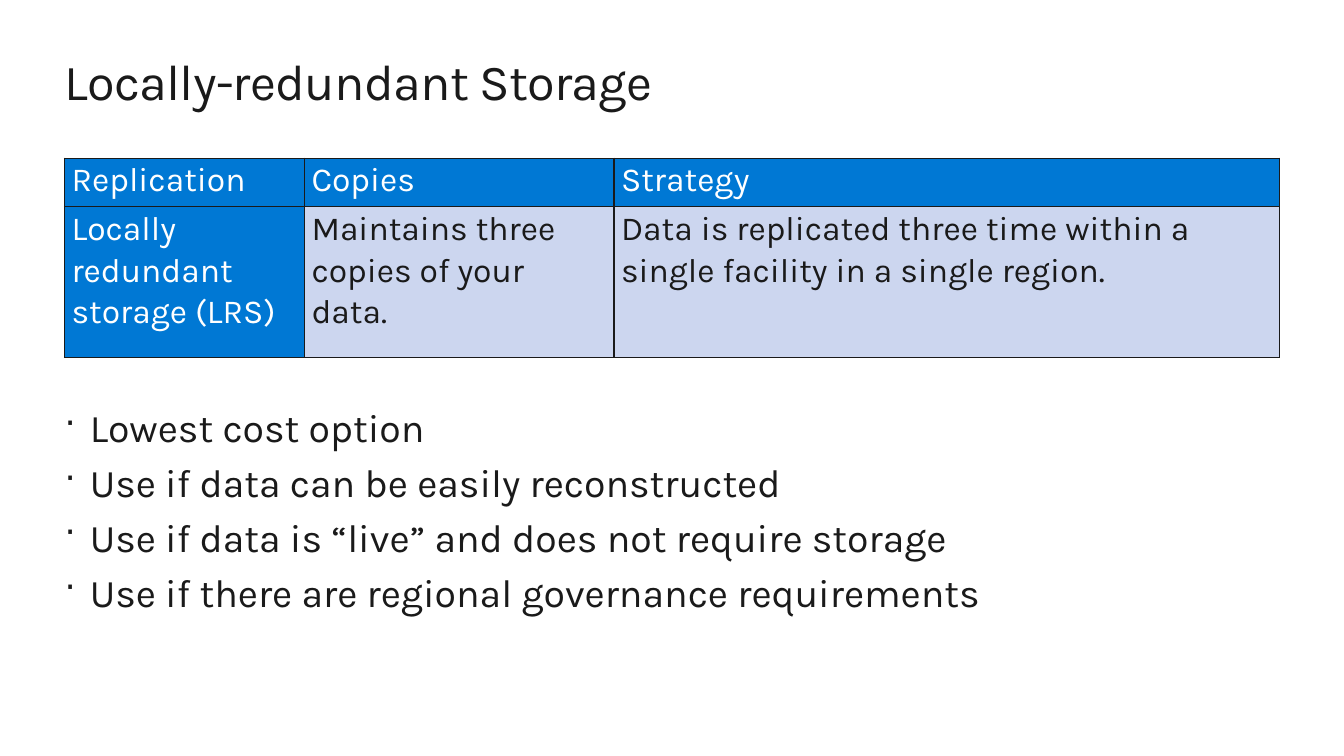
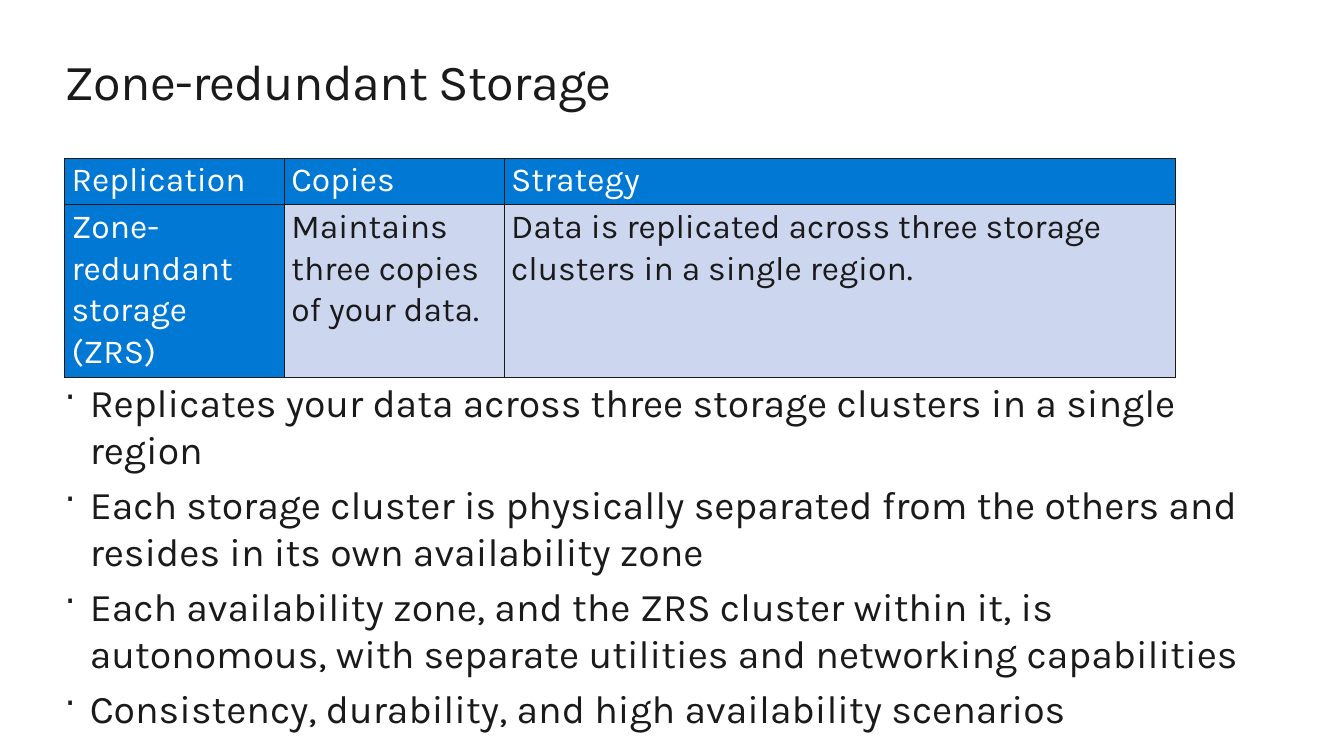
from lxml.etree import SubElement
from pptx import Presentation
from pptx.dml.color import RGBColor
from pptx.enum.text import MSO_ANCHOR, MSO_AUTO_SIZE
from pptx.oxml.ns import qn
from pptx.util import Inches, Pt

COLORS = {"ink": "1A1A1A", "white": "FFFFFF", "blue": "0078D4", "pale": "CCD6EF"}
FONT = "Karla"
LEFT = 0.64
WIDTH = 12.05
FRAME_FORMAT = {
    "margin_left": 0, "margin_right": 0, "margin_top": 0, "margin_bottom": 0,
    "word_wrap": True, "auto_size": MSO_AUTO_SIZE.SHAPE_TO_FIT_TEXT,
    "vertical_anchor": MSO_ANCHOR.TOP,
}
CELL_FORMAT = {
    "margin_left": Inches(0.07), "margin_right": Inches(0.07),
    "margin_top": 0, "margin_bottom": 0, "vertical_anchor": MSO_ANCHOR.TOP,
}
TABLE_FORMAT = {"first_row": False, "horz_banding": False}
HEADINGS = ["Replication", "Copies", "Strategy"]


def apply_format(target, values):
    for name, value in values.items():
        setattr(target, name, value)


def color(name):
    return RGBColor.from_string(COLORS[name])


class StorageDeck:
    def __init__(self):
        self.deck = Presentation()
        self.deck.slide_width = Inches(13.33)
        self.deck.slide_height = Inches(7.5)
        self.page = None

    def add_page(self, title):
        self.page = self.deck.slides.add_slide(self.deck.slide_layouts[6])
        fill = self.page.background.fill
        fill.solid()
        fill.fore_color.rgb = color("white")
        frame = self.add_frame(0.5, 0.61)
        span = self.add_span(frame.paragraphs[0], title, 36)
        span.font._element.set("spc", "-50")

    def add_frame(self, top, height):
        box = self.page.shapes.add_textbox(
            Inches(LEFT), Inches(top), Inches(WIDTH), Inches(height))
        apply_format(box.text_frame, FRAME_FORMAT)
        return box.text_frame

    def add_span(self, para, text, size, ink="ink"):
        span = para.add_run()
        span.text = text
        apply_format(span.font, {"name": FONT, "size": Pt(size)})
        span.font.color.rgb = color(ink)
        return span

    def add_bullets(self, top, height, lines):
        frame = self.add_frame(top, height)
        for index, line in enumerate(lines):
            para = frame.add_paragraph() if index else frame.paragraphs[0]
            para.space_before = Pt(5.6)
            settings = para._p.get_or_add_pPr()
            settings.set("marL", str(Inches(0.25)))
            settings.set("indent", str(-Inches(0.25)))
            SubElement(settings, qn("a:buSzPct"), val="90000")
            SubElement(settings, qn("a:buChar"), char="·")
            self.add_span(para, line, 28)

    def add_table(self, widths, heights, entries):
        rows = [HEADINGS, entries]
        table = self.page.shapes.add_table(
            len(rows), len(widths), Inches(LEFT), Inches(1.57),
            Inches(sum(widths)), Inches(sum(heights))).table
        apply_format(table, TABLE_FORMAT)
        for column, width in zip(table.columns, widths):
            column.width = Inches(width)
        for row, height in zip(table.rows, heights):
            row.height = Inches(height)
        for row_index, row in enumerate(rows):
            for column_index, text in enumerate(row):
                is_header = row_index == 0 or column_index == 0
                self.fill_cell(table.cell(row_index, column_index), text, is_header)

    def fill_cell(self, cell, text, is_header):
        apply_format(cell, CELL_FORMAT)
        self.add_borders(cell)
        cell.fill.solid()
        cell.fill.fore_color.rgb = color("blue" if is_header else "pale")
        para = cell.text_frame.paragraphs[0]
        para.line_spacing = 1.07
        self.add_span(para, text, 24, "white" if is_header else "ink")

    def add_borders(self, cell):
        settings = cell._tc.get_or_add_tcPr()
        for side in ("lnL", "lnR", "lnT", "lnB"):
            line = SubElement(settings, qn(f"a:{side}"), w=str(Pt(1)))
            fill = SubElement(line, qn("a:solidFill"))
            SubElement(fill, qn("a:srgbClr"), val=COLORS["ink"])


def main():
    show = StorageDeck()

    show.add_page("Locally-redundant Storage")
    show.add_bullets(4, 2.17, [
        "Lowest cost option",
        "Use if data can be easily reconstructed",
        "Use if data is “live” and does not require storage",
        "Use if there are regional governance requirements",
    ])
    show.add_table([2.38, 3.07, 6.6], [0.48, 1.5], [
        "Locally redundant storage (LRS)",
        "Maintains three copies of your data.",
        "Data is replicated three time within a single facility in a single region.",
    ])

    show.add_page("Zone-redundant Storage")
    show.add_bullets(3.75, 3.11, [
        "Replicates your data across three storage clusters in a single region",
        "Each storage cluster is physically separated from the others and "
        "resides in its own availability zone",
        "Each availability zone, and the ZRS cluster within it, is autonomous, "
        "with separate utilities and networking capabilities",
        "Consistency, durability, and high availability scenarios",
    ])
    show.add_table([2.18, 2.18, 6.66], [0.46, 0.94], [
        "Zone-redundant storage (ZRS)",
        "Maintains three copies of your data.",
        "Data is replicated across three storage clusters in a single region.",
    ])

    show.deck.save("out.pptx")


if __name__ == "__main__":
    main()
